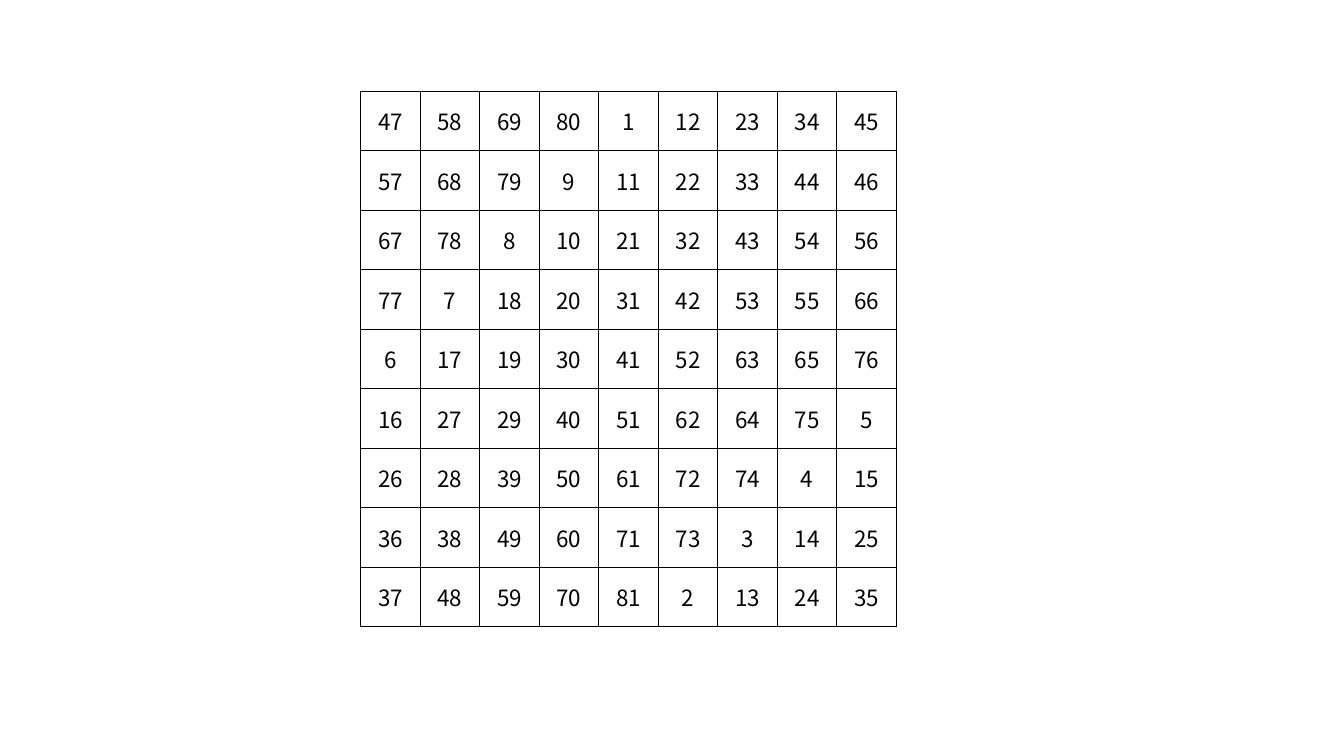
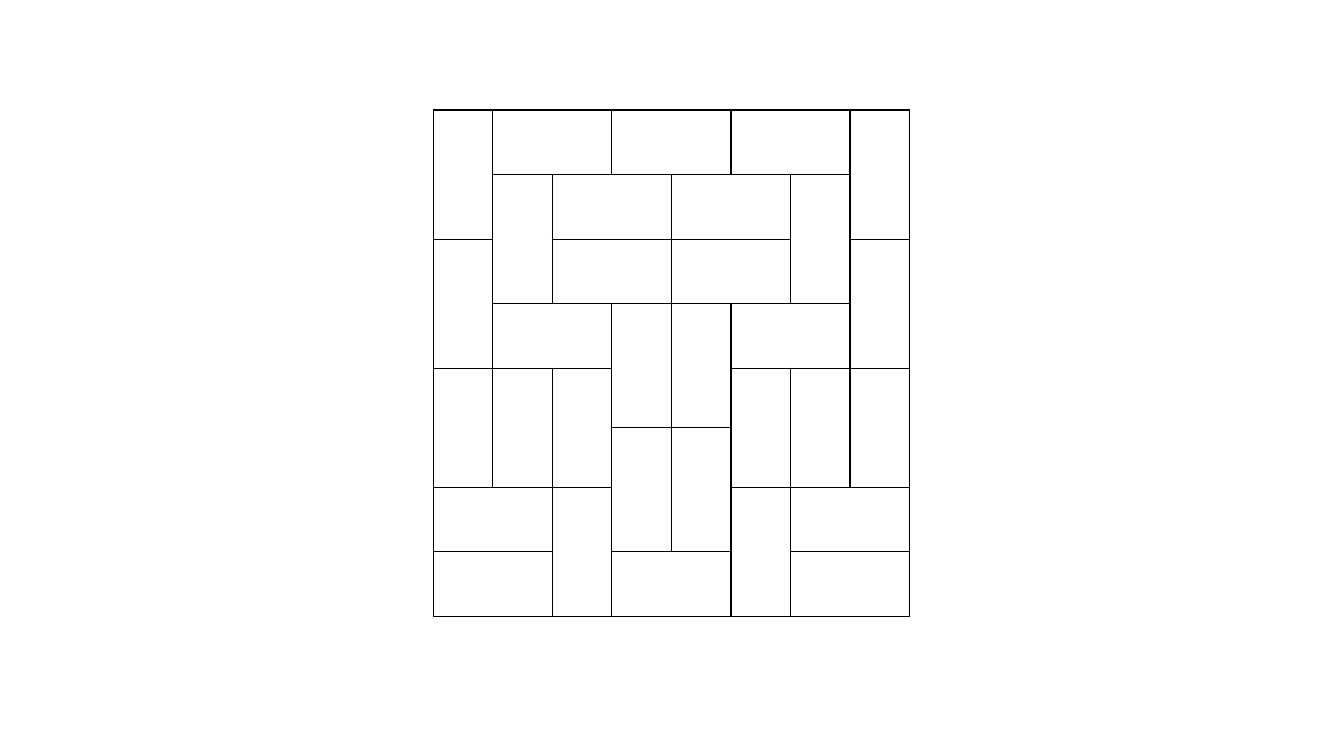
import pptx
import pptx.util
import pptx.dml.color
import pptx.enum.text
import pptx.oxml
import pptx.oxml.ns
from dataclasses import dataclass

Pt = pptx.util.Pt


@dataclass(frozen=True)
class Theme:
    ink: str = "000000"
    paper: str = "FFFFFF"
    font: str = "Noto Sans CJK SC"
    size: float = 16
    line: float = 1
    cell: float = 42.52       # side of a square cell
    tall: float = 46.1        # height of a row that holds a lying domino
    margin_x: float = 10
    margin_y: float = 5


THEME = Theme()
SLIDE_SIZE = (960, 540)

# Content: a magic square of order 9
SQUARE_AT = (257.6, 65.1)
SQUARE = [
    (47, 58, 69, 80, 1, 12, 23, 34, 45),
    (57, 68, 79, 9, 11, 22, 33, 44, 46),
    (67, 78, 8, 10, 21, 32, 43, 54, 56),
    (77, 7, 18, 20, 31, 42, 53, 55, 66),
    (6, 17, 19, 30, 41, 52, 63, 65, 76),
    (16, 27, 29, 40, 51, 62, 64, 75, 5),
    (26, 28, 39, 50, 61, 72, 74, 4, 15),
    (36, 38, 49, 60, 71, 73, 3, 14, 25),
    (37, 48, 59, 70, 81, 2, 13, 24, 35),
]

# Content: a domino tiling; v starts a standing domino, h a lying one
TILING_AT = (309.5, 78.6)
TILING = [
    "vh.h.h.v",
    ".vh.h.v.",
    "v.h.h..v",
    ".h.vvh..",
    "vvv..vvv",
    "...vv...",
    "h.v..vh.",
    "h..h..h.",
]
REACH = {"v": (1, 0), "h": (0, 1)}


def rgb(value):
    return pptx.dml.color.RGBColor.from_string(value)


def put_text(cell, text, size=THEME.size, color=THEME.ink,
             align=pptx.enum.text.PP_ALIGN.CENTER):
    p = cell.text_frame.paragraphs[0]
    p.alignment = align
    r = p.add_run()
    r.text = text
    r.font.size = Pt(size)
    r.font.name = THEME.font
    r.font.color.rgb = rgb(color)


def style_cell(cell):
    """Plain paper fill with a thin line on all four sides."""
    tc_pr = cell._tc.get_or_add_tcPr()
    for side in "LRTB":
        tc_pr.append(pptx.oxml.parse_xml(
            f'<a:ln{side} {pptx.oxml.ns.nsdecls("a")} w="{Pt(THEME.line)}">'
            f'<a:solidFill><a:srgbClr val="{THEME.ink}"/></a:solidFill>'
            f'</a:ln{side}>'))
    cell.fill.solid()
    cell.fill.fore_color.rgb = rgb(THEME.paper)
    cell.vertical_anchor = pptx.enum.text.MSO_ANCHOR.MIDDLE
    cell.margin_left = cell.margin_right = Pt(THEME.margin_x)
    cell.margin_top = cell.margin_bottom = Pt(THEME.margin_y)


def add_grid(s, at, columns, heights):
    """Add a plain ruled table with square-cell columns."""
    frame = s.shapes.add_table(len(heights), columns, Pt(at[0]), Pt(at[1]),
                               Pt(columns * THEME.cell), Pt(sum(heights)))
    table = frame.table
    table.first_row = table.horz_banding = False
    for column in table.columns:
        column.width = Pt(THEME.cell)
    for row, height in zip(table.rows, heights):
        row.height = Pt(height)
    for cell in table.iter_cells():
        style_cell(cell)
    return table


def build_square(s):
    table = add_grid(s, SQUARE_AT, len(SQUARE[0]), [THEME.cell] * len(SQUARE))
    for i, numbers in enumerate(SQUARE):
        for j, number in enumerate(numbers):
            put_text(table.cell(i, j), str(number))


def build_tiling(s):
    heights = [THEME.tall if "h" in row else THEME.cell for row in TILING]
    table = add_grid(s, TILING_AT, len(TILING[0]), heights)
    for i, row in enumerate(TILING):
        for j, mark in enumerate(row):
            if mark in REACH:
                down, right = REACH[mark]
                table.cell(i, j).merge(table.cell(i + down, j + right))


def main():
    prs = pptx.Presentation()
    prs.slide_width, prs.slide_height = map(Pt, SLIDE_SIZE)
    blank = prs.slide_layouts.get_by_name("Blank")
    for build in (build_square, build_tiling):
        build(prs.slides.add_slide(blank))
    prs.save("out.pptx")


if __name__ == "__main__":
    main()
